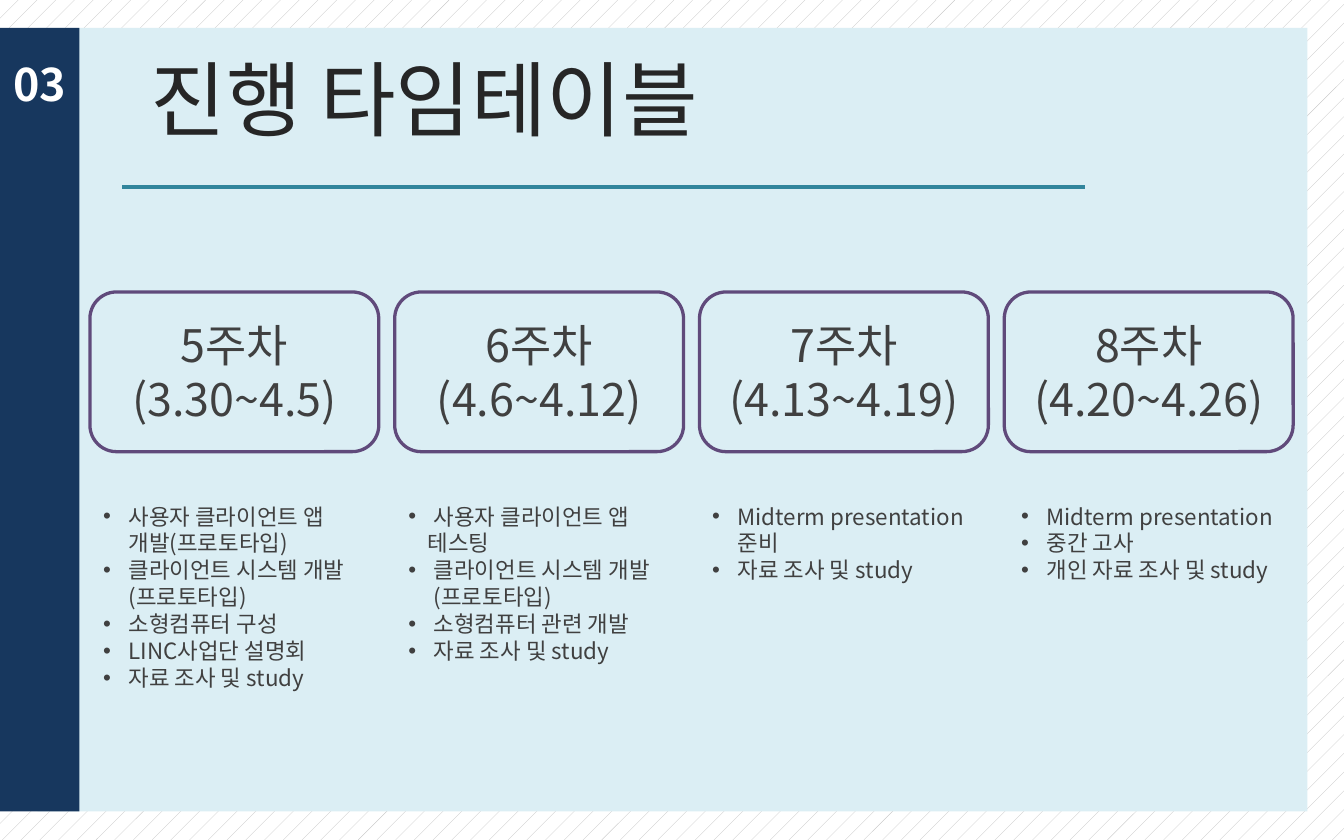
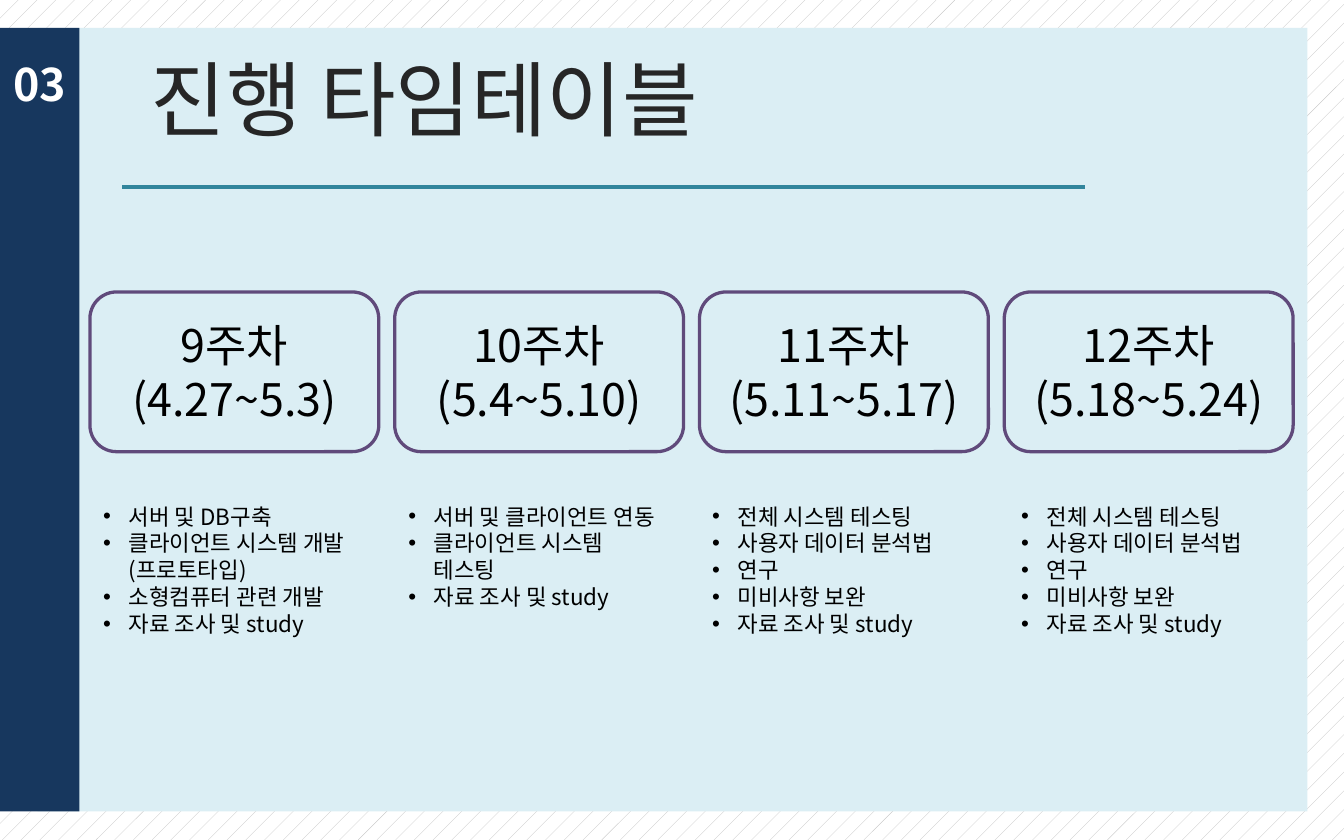
from dataclasses import dataclass

from lxml import etree
from pptx import Presentation
from pptx.dml.color import RGBColor
from pptx.enum.dml import MSO_PATTERN
from pptx.enum.shapes import MSO_CONNECTOR, MSO_SHAPE
from pptx.enum.text import MSO_ANCHOR, MSO_AUTO_SIZE, PP_ALIGN
from pptx.oxml.ns import qn
from pptx.util import Cm, Pt

RECTANGLE = MSO_SHAPE.RECTANGLE
ROUNDED = MSO_SHAPE.ROUNDED_RECTANGLE
STRAIGHT = MSO_CONNECTOR.STRAIGHT
DOTS = MSO_PATTERN.PERCENT_5
MIDDLE, TOP = MSO_ANCHOR.MIDDLE, MSO_ANCHOR.TOP
CENTER, LEFT = PP_ALIGN.CENTER, PP_ALIGN.LEFT
GROW = MSO_AUTO_SIZE.SHAPE_TO_FIT_TEXT


@dataclass(frozen=True)
class Theme:
    """Colours, font and type sizes shared by the slides."""

    font: str = "Noto Sans CJK KR"
    paper: str = "FFFFFF"
    dots: str = "BFBFBF"
    panel: str = "DBEEF4"
    band: str = "17375E"
    rule: str = "31859C"
    outline: str = "604A7B"
    title: str = "262626"
    number: str = "FFFFFF"
    past: str = "404040"
    upcoming: str = "000000"
    title_size: int = 44
    heading_size: int = 24
    task_size: int = 12


@dataclass(frozen=True)
class Task:
    """A line of a week's task list."""

    text: str
    bulleted: bool = True


THEME = Theme()
WEEK_LEFT, WEEK_PITCH = 1.7, 5.76
WEEK_WIDTH, WEEK_HEIGHT = 5.46, 3.02
TASK_LEFTS = (1.7, 7.47, 13.21, 19.05)
TASK_WIDTH = 5.4
TASK_INDENT, CONTINUATION_INDENT = 0.48, 0.36

STUDY = Task("자료 조사 및 study")
CLIENT = Task("클라이언트 시스템 개발(프로토타입)")
BOARD = Task("소형컴퓨터 관련 개발")
FINISHING = (
    Task("전체 시스템 테스팅"),
    Task("사용자 데이터 분석법"),
    Task("연구"),
    Task("미비사항 보완"),
    STUDY,
)

TIMETABLES = (
    (THEME.past, (
        ("5주차", "(3.30~4.5)", (
            Task("사용자 클라이언트 앱 개발(프로토타입)"), CLIENT,
            Task("소형컴퓨터 구성"), Task("LINC사업단 설명회"), STUDY)),
        ("6주차", "(4.6~4.12)", (
            Task("사용자 클라이언트 앱"), Task("테스팅", bulleted=False),
            CLIENT, BOARD, STUDY)),
        ("7주차", "(4.13~4.19)", (Task("Midterm presentation 준비"), STUDY)),
        ("8주차", "(4.20~4.26)", (
            Task("Midterm presentation"), Task("중간 고사"),
            Task("개인 자료 조사 및 study"))),
    )),
    (THEME.upcoming, (
        ("9주차", "(4.27~5.3)", (
            Task("서버 및 DB구축"), CLIENT, BOARD, STUDY)),
        ("10주차", "(5.4~5.10)", (
            Task("서버 및 클라이언트 연동"), Task("클라이언트 시스템 테스팅"), STUDY)),
        ("11주차", "(5.11~5.17)", FINISHING),
        ("12주차", "(5.18~5.24)", FINISHING),
    )),
)


def rgb(value):
    """Return the colour for a hex value."""
    return RGBColor.from_string(value)


def apply_format(target, values):
    """Set each format value on the target."""
    for attribute, value in values.items():
        setattr(target, attribute, value)


def write_line(paragraph, text, size, color, bold=False, align=LEFT):
    """Write one styled run, without kerning, into a paragraph."""
    paragraph.alignment = align
    run = paragraph.add_run()
    run.text = text
    apply_format(run.font, {"name": THEME.font, "size": Pt(size), "bold": bold})
    run.font.color.rgb = rgb(color)
    properties = run.font._element
    properties.set("kern", "0")
    etree.SubElement(properties, qn("a:ea")).set("typeface", THEME.font)


def paragraphs_for(frame, lines):
    """Yield a paragraph with each line, starting with the first of the frame."""
    for index, line in enumerate(lines):
        yield frame.add_paragraph() if index else frame.paragraphs[0], line


def add_box(slide, kind, left, top, width, height, fill=None, outline=None):
    """Add a preset shape with an optional fill and outline."""
    box = slide.shapes.add_shape(kind, Cm(left), Cm(top), Cm(width), Cm(height))
    box.shadow.inherit = False
    if fill:
        box.fill.solid()
        box.fill.fore_color.rgb = rgb(fill)
    else:
        box.fill.background()
    if outline:
        box.line.color.rgb = rgb(outline)
        box.line.width = Pt(1.75)
    else:
        box.line.fill.background()
    return box


def add_text_frame(slide, left, top, width, height, **values):
    """Add a wrapping text box and return its frame."""
    frame = slide.shapes.add_textbox(
        Cm(left), Cm(top), Cm(width), Cm(height)).text_frame
    apply_format(frame, {"word_wrap": True, "vertical_anchor": TOP, **values})
    return frame


def add_rule(slide, left, right, top):
    """Add the line under the title."""
    rule = slide.shapes.add_connector(
        STRAIGHT, Cm(left), Cm(top), Cm(right), Cm(top))
    rule.line.color.rgb = rgb(THEME.rule)
    rule.line.width = Pt(2.25)
    etree.SubElement(rule._element.spPr, qn("a:effectLst"))


def add_week(slide, left, week, dates, color):
    """Add the rounded heading of a week."""
    heading = add_box(slide, ROUNDED, left, 5.52, WEEK_WIDTH, WEEK_HEIGHT,
                      outline=THEME.outline)
    frame = heading.text_frame
    apply_format(frame, {"word_wrap": True, "vertical_anchor": MIDDLE})
    for paragraph, line in paragraphs_for(frame, (week, dates)):
        write_line(paragraph, line, THEME.heading_size, color, align=CENTER)


def indent_task(paragraph, bulleted):
    """Give a task its hanging bullet or its plain indent."""
    properties = paragraph._p.get_or_add_pPr()
    if bulleted:
        properties.set("marL", str(Cm(TASK_INDENT)))
        properties.set("indent", str(-Cm(TASK_INDENT)))
        etree.SubElement(properties, qn("a:buFont")).set("typeface", "Arial")
        etree.SubElement(properties, qn("a:buChar")).set("char", "•")
    else:
        properties.set("marL", str(Cm(CONTINUATION_INDENT)))
        properties.set("indent", "0")


def add_tasks(slide, left, tasks, color):
    """Add the task list of a week."""
    height = 0.25 + 0.51 * len(tasks)
    frame = add_text_frame(slide, left, 9.38, TASK_WIDTH, height, auto_size=GROW)
    for paragraph, task in paragraphs_for(frame, tasks):
        indent_task(paragraph, task.bulleted)
        write_line(paragraph, task.text, THEME.task_size, color)


def add_base(slide):
    """Add the background, panel, band, title and section number."""
    background = slide.background.fill
    background.patterned()
    background.pattern = DOTS
    background.fore_color.rgb = rgb(THEME.dots)
    background.back_color.rgb = rgb(THEME.paper)
    add_box(slide, RECTANGLE, 0.71, 0.53, 24, 14.81, fill=THEME.panel)
    title = add_text_frame(slide, 0.71, 0.53, 14.63, 2.64, vertical_anchor=MIDDLE)
    write_line(title.paragraphs[0], "진행 타임테이블", THEME.title_size,
               THEME.title, align=CENTER)
    add_box(slide, RECTANGLE, 0, 0.53, 1.5, 14.81, fill=THEME.band)
    add_rule(slide, 2.31, 20.5, 3.53)
    number = add_text_frame(slide, 0, 0.94, 1.7, 1.28, auto_size=GROW)
    write_line(number.paragraphs[0], "03", THEME.heading_size,
               THEME.number, bold=True)


def add_timetable(slide, color, weeks):
    """Add the week headings and their task lists."""
    for column, (week, dates, tasks) in enumerate(weeks):
        add_week(slide, WEEK_LEFT + column * WEEK_PITCH, week, dates, color)
        add_tasks(slide, TASK_LEFTS[column], tasks, color)


def main():
    """Build and save the timetable slides."""
    deck = Presentation()
    apply_format(deck, {"slide_width": Cm(25.4), "slide_height": Cm(15.88)})
    blank = deck.slide_layouts[6]
    for color, weeks in TIMETABLES:
        slide = deck.slides.add_slide(blank)
        add_base(slide)
        add_timetable(slide, color, weeks)
    deck.save("out.pptx")


if __name__ == "__main__":
    main()
